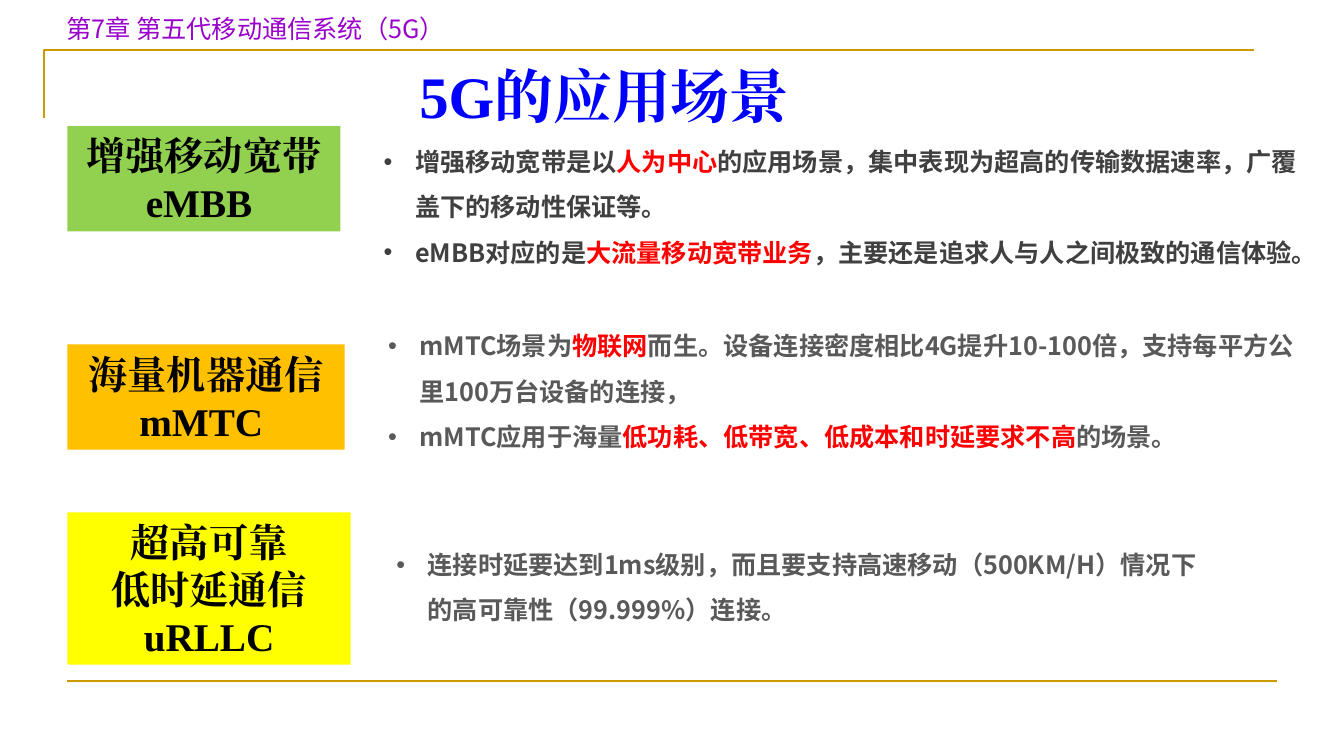
from lxml import etree
from pptx import Presentation
from pptx.dml.color import RGBColor
from pptx.enum.shapes import MSO_CONNECTOR, MSO_SHAPE
from pptx.enum.text import MSO_ANCHOR, PP_ALIGN
from pptx.oxml.ns import qn
from pptx.util import Cm, Pt

GOLD, RED, BLACK = "CC9900", "FF0000", "000000"
SERIF, SANS, HEADER_FONT = "Times New Roman", "Noto Sans CJK SC", "Noto Sans CJK JP"

# Each scenario: label box, fill, label lines, text box, text colour, bullets.
# A bullet is a list of pieces in which every second one is highlighted.
SCENARIOS = [
    ((1.7, 3.18, 6.88, 2.65), "92D050", ["增强移动宽带", "eMBB "],
     (9.42, 3.18, 23.77, 3.71), "404040",
     [["增强移动宽带是以", "人为中心",
       "的应用场景，集中表现为超高的传输数据速率，广覆盖下的移动性保证等。"],
      ["eMBB对应的是", "大流量移动宽带业务",
       "，主要还是追求人与人之间极致的通信体验。"]]),
    ((1.7, 8.68, 6.99, 2.65), "FFC000", ["海量机器通信", "mMTC "],
     (9.53, 7.83, 23.55, 3.71), "595959",
     [["mMTC场景为", "物联网",
       "而生。设备连接密度相比4G提升10-100倍，支持每平方公里100万台设备的连接，"],
      ["mMTC应用于海量", "低功耗、低带宽、低成本和时延要求不高", "的场景。"]]),
    ((1.7, 12.91, 7.14, 3.84), "FFFF00", ["超高可靠", "低时延通信", "uRLLC"],
     (9.74, 13.34, 21.08, 2.57), "595959",
     [["连接时延要达到1ms级别，而且要支持高速移动（500KM/H）情况"
       "下的高可靠性（99.999%）连接。"]]),
]


def rgb(colour):
    return RGBColor.from_string(colour)


def style_run(run, size, font, colour, bold=True):
    run.font.size = Pt(size)
    run.font.name = font
    run.font.bold = bold
    run.font.color.rgb = rgb(colour)
    east_asian = etree.SubElement(run.font._element, qn("a:ea"))
    east_asian.set("typeface", font)


def add_text_box(slide, box):
    text_frame = slide.shapes.add_textbox(*map(Cm, box)).text_frame
    text_frame.word_wrap = True
    return text_frame


def add_frame_lines(slide, box):
    """Draw the corner line at the top left and the rule at the bottom."""
    left, top, width, height = box
    builder = slide.shapes.build_freeform(Cm(left), Cm(top + 1.7))
    builder.add_line_segments(
        [(Cm(left), Cm(top)), (Cm(left + width), Cm(top))], close=False)
    corner = builder.convert_to_shape()
    corner.fill.background()
    corner.shadow.inherit = False

    bottom = Cm(top + height)
    rule = slide.shapes.add_connector(
        MSO_CONNECTOR.STRAIGHT, Cm(left + 0.58), bottom, Cm(left + width + 0.58), bottom)
    etree.SubElement(rule._element.spPr, qn("a:effectLst"))
    for shape in (corner, rule):
        shape.line.color.rgb = rgb(GOLD)
        shape.line.width = Pt(1.5)


def add_heading(slide, box, text, size, font, colour, bold, alignment):
    text_frame = add_text_box(slide, box)
    text_frame.vertical_anchor = MSO_ANCHOR.MIDDLE
    text_frame.text = text
    paragraph = text_frame.paragraphs[0]
    paragraph.alignment = alignment
    style_run(paragraph.runs[0], size, font, colour, bold)


def add_label(slide, box, fill, lines):
    shape = slide.shapes.add_shape(MSO_SHAPE.RECTANGLE, *map(Cm, box))
    shape.shadow.inherit = False
    shape.fill.solid()
    shape.fill.fore_color.rgb = rgb(fill)
    shape.line.fill.background()
    shape.text_frame.text = "\n".join(lines)
    for paragraph in shape.text_frame.paragraphs:
        paragraph.alignment = PP_ALIGN.CENTER
        style_run(paragraph.runs[0], 28, SERIF, BLACK)


def make_bullet(paragraph):
    properties = paragraph._p.get_or_add_pPr()
    properties.set("marL", str(Cm(0.79)))
    properties.set("indent", str(-Cm(0.79)))
    etree.SubElement(properties, qn("a:buFont")).set("typeface", "Arial")
    etree.SubElement(properties, qn("a:buChar")).set("char", "•")
    paragraph.line_spacing = 1.5


def add_bullets(slide, box, colour, bullets):
    text_frame = add_text_box(slide, box)
    for number, pieces in enumerate(bullets):
        paragraph = text_frame.add_paragraph() if number else text_frame.paragraphs[0]
        make_bullet(paragraph)
        for index, piece in enumerate(pieces):
            run = paragraph.add_run()
            run.text = piece
            style_run(run, 18, SANS, RED if index % 2 else colour)


def main():
    presentation = Presentation()
    presentation.slide_width = Cm(33.87)
    presentation.slide_height = Cm(19.05)
    slide = presentation.slides.add_slide(presentation.slide_layouts[6])

    add_frame_lines(slide, (1.12, 1.27, 30.48, 15.88))
    add_heading(slide, (1.42, 0.2, 14.68, 1.02), "第7章 第五代移动通信系统（5G）",
                18, HEADER_FONT, "9900CC", False, PP_ALIGN.LEFT)
    add_heading(slide, (9.96, 1.27, 10.52, 2.24), "5G的应用场景",
                42, SERIF, "0000FF", True, PP_ALIGN.CENTER)
    for label_box, fill, lines, text_box, colour, bullets in SCENARIOS:
        add_label(slide, label_box, fill, lines)
        add_bullets(slide, text_box, colour, bullets)
    presentation.save("out.pptx")


if __name__ == "__main__":
    main()
